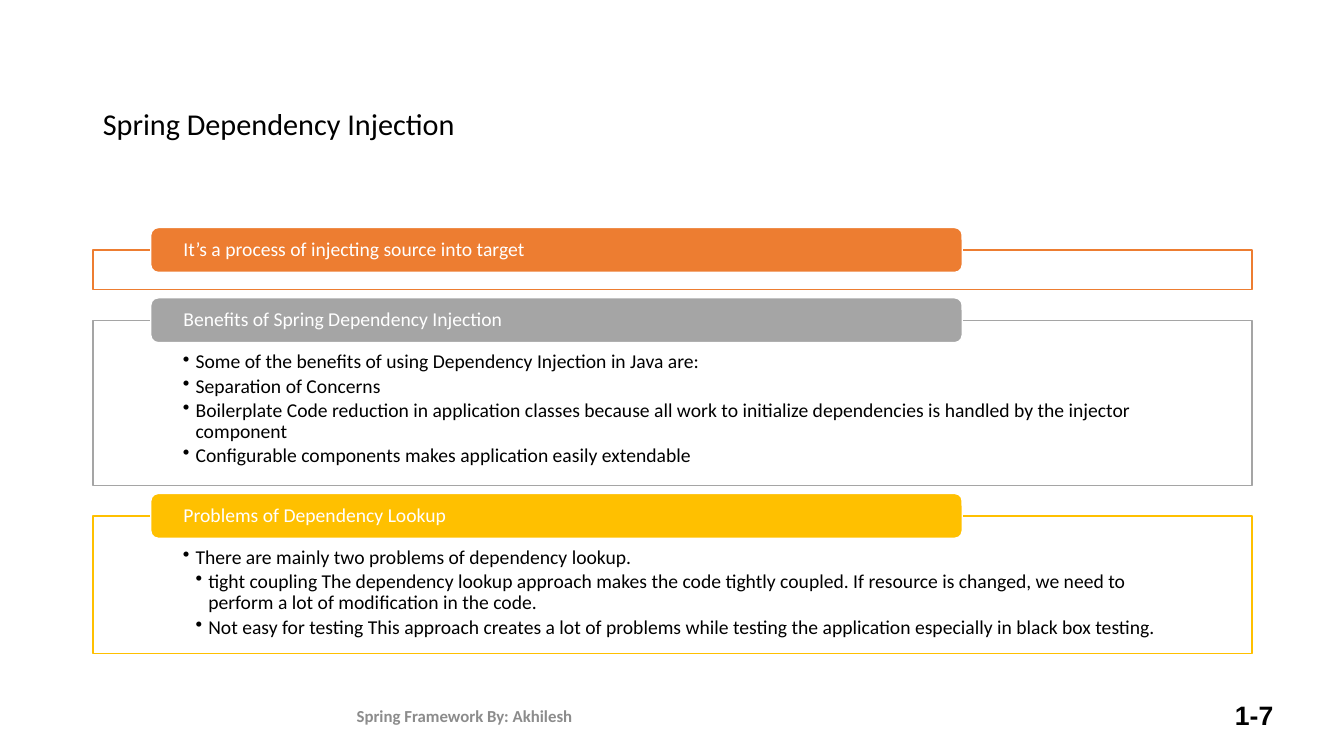
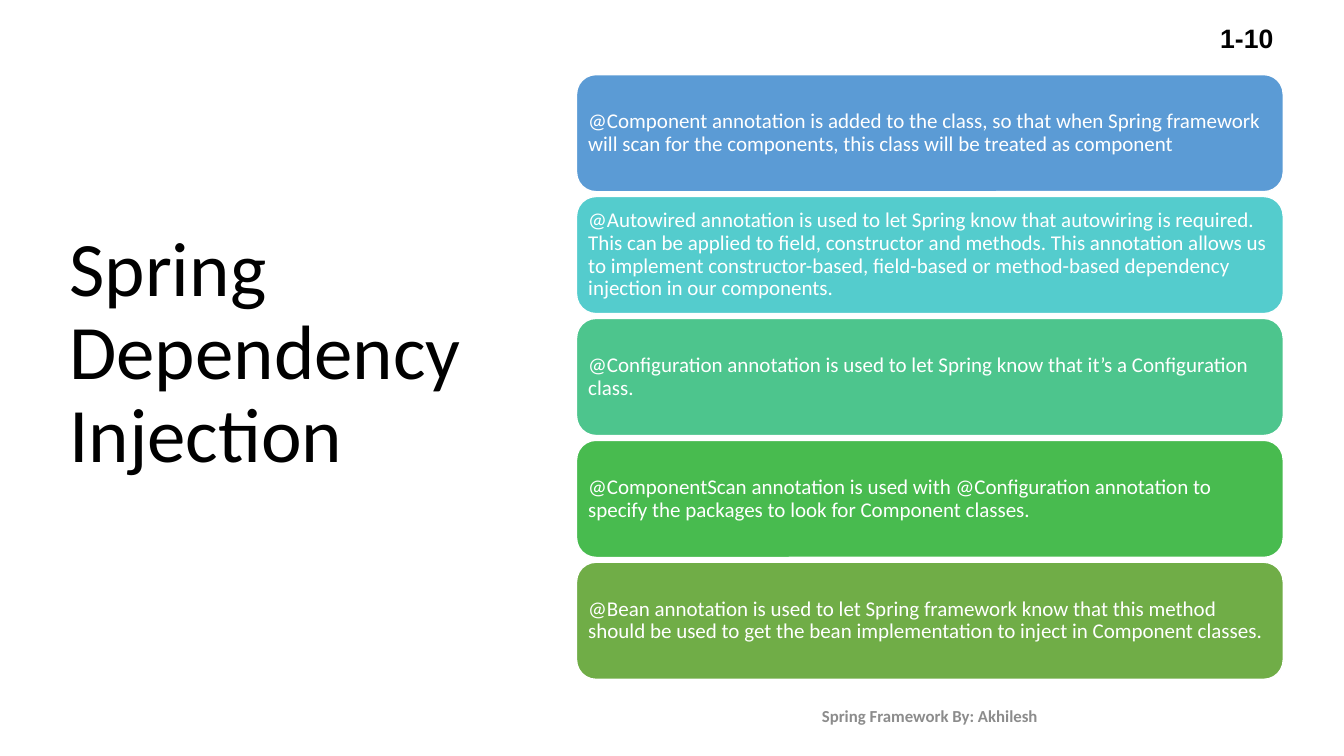
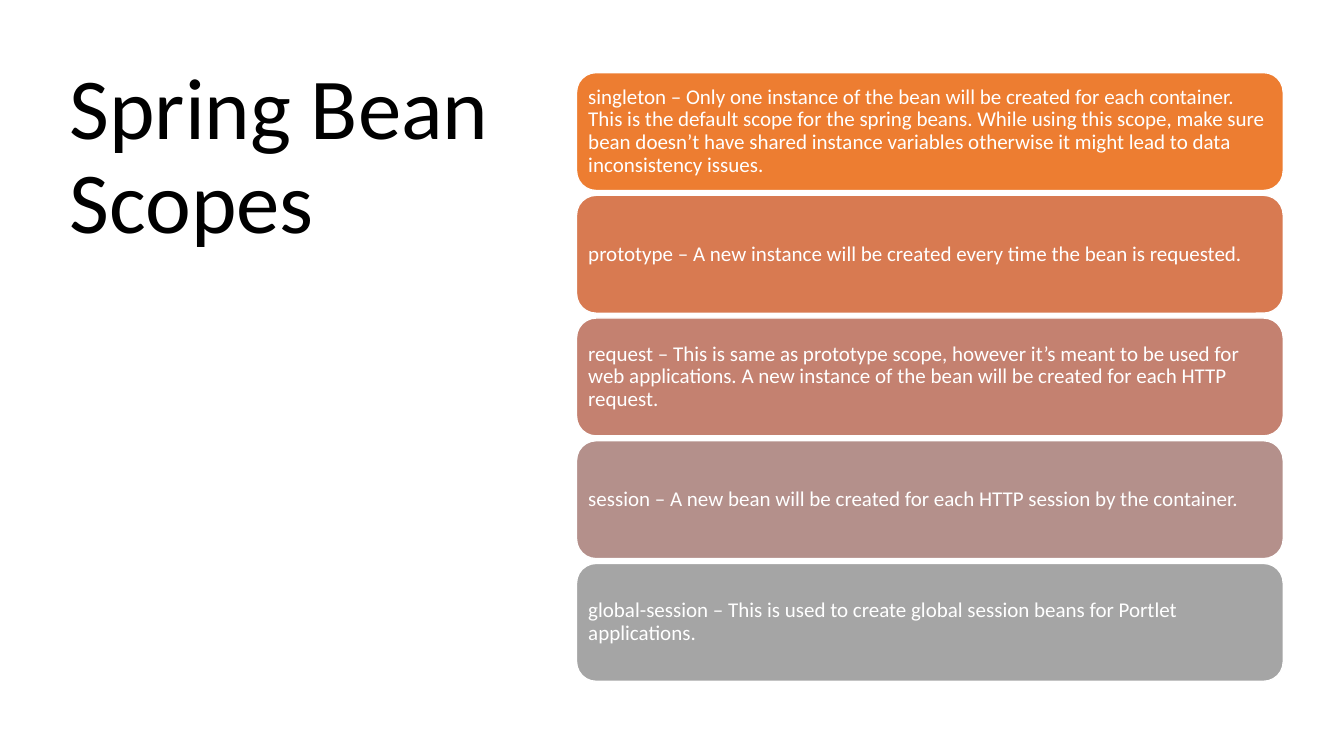
import pptx
import pptx.dml.color
import pptx.enum.shapes
import pptx.enum.text
import pptx.oxml
import pptx.oxml.ns
import pptx.util

Cm = pptx.util.Cm
Pt = pptx.util.Pt
ALIGN = pptx.enum.text.PP_ALIGN
ANCHOR = pptx.enum.text.MSO_ANCHOR
SHAPE = pptx.enum.shapes.MSO_SHAPE

COLORS = {
    "white": "FFFFFF", "black": "000000", "footer": "8C8C8C",
    "orange": "ED7D31", "gray": "A5A5A5", "gold": "FFC000",
    "blue": "5B9BD5", "aqua": "54CCCD", "mint": "4DC58D",
    "green": "48BB4F", "olive": "70AD47",
    "copper": "D87A51", "rose": "C48170", "taupe": "B4908B",
}
FONT = "Calibri"
LINE_SPACING = 0.9
FOOTER_TOP = 17.55
FOOTER_HEIGHT = 1.02
SIDE_TITLE_BOX = (1.5, 1.5, 12.5, 16)
CARD_LEFT, CARD_WIDTH, CARD_GAP = 14.53, 17.81, 0.12

PANELS = [
    ("orange", 1.0, "It’s a process of injecting source into target", []),
    ("gray", 4.16, "Benefits of Spring Dependency Injection", [
        (1, "Some of the benefits of using Dependency Injection in Java are:"),
        (1, "Separation of Concerns"),
        (1, "Boilerplate Code reduction in application classes because all work to "
            "initialize dependencies is handled by the injector component"),
        (1, "Configurable components makes application easily extendable"),
    ]),
    ("gold", 3.47, "Problems of Dependency Lookup", [
        (1, "There are mainly two problems of dependency lookup."),
        (2, "tight coupling The dependency lookup approach makes the code tightly "
            "coupled. If resource is changed, we need to perform a lot of "
            "modification in the code."),
        (2, "Not easy for testing This approach creates a lot of problems while "
            "testing the application especially in black box testing."),
    ]),
]

ANNOTATIONS = [
    ("blue", "@Component annotation is added to the class, so that when Spring framework "
             "will scan for the components, this class will be treated as component"),
    ("aqua", "@Autowired annotation is used to let Spring know that autowiring is required. "
             "This can be applied to field, constructor and methods. This annotation allows "
             "us to implement constructor-based, field-based or method-based dependency "
             "injection in our components."),
    ("mint", "@Configuration annotation is used to let Spring know that it’s a "
             "Configuration class."),
    ("green", "@ComponentScan annotation is used with @Configuration annotation to specify "
              "the packages to look for Component classes."),
    ("olive", "@Bean annotation is used to let Spring framework know that this method should "
              "be used to get the bean implementation to inject in Component classes."),
]

SCOPES = [
    ("orange", "singleton – Only one instance of the bean will be created for each container. "
               "This is the default scope for the spring beans. While using this scope, make "
               "sure bean doesn’t have shared instance variables otherwise it might lead to "
               "data inconsistency issues."),
    ("copper", "prototype – A new instance will be created every time the bean is requested."),
    ("rose", "request – This is same as prototype scope, however it’s meant to be used for "
             "web applications. A new instance of the bean will be created for each HTTP "
             "request."),
    ("taupe", "session – A new bean will be created for each HTTP session by the container."),
    ("gray", "global-session – This is used to create global session beans for Portlet "
             "applications."),
]


def rgb(color):
    return pptx.dml.color.RGBColor.from_string(COLORS[color])


def set_frame(frame, anchor, margins):
    """Wrap the text; margins are left, top, right, bottom in cm."""
    frame.word_wrap = True
    frame.auto_size = pptx.enum.text.MSO_AUTO_SIZE.NONE
    frame.vertical_anchor = anchor
    (frame.margin_left, frame.margin_top,
     frame.margin_right, frame.margin_bottom) = map(Cm, margins)


def write(paragraph, text, size, color, align=ALIGN.LEFT, bold=False, font=FONT):
    paragraph.alignment = align
    paragraph.line_spacing = LINE_SPACING
    run = paragraph.add_run()
    run.text = text
    run.font.size = Pt(size)
    run.font.name = font
    run.font.bold = bold
    run.font.color.rgb = rgb(color)


def add_bullet(paragraph, level):
    hanging = Cm(0.32)
    properties = paragraph._p.get_or_add_pPr()
    properties.set("marL", str(hanging * level))
    properties.set("indent", str(-hanging))
    properties.append(pptx.oxml.parse_xml(
        "<a:buChar %s char='•'/>" % pptx.oxml.ns.nsdecls("a")))


def add_block(slide, kind, box, fill, line):
    block = slide.shapes.add_shape(kind, *map(Cm, box))
    block.shadow.inherit = False
    block.fill.solid()
    block.fill.fore_color.rgb = rgb(fill)
    block.line.color.rgb = rgb(line)
    block.line.width = Pt(1)
    return block


def add_titled_slide(deck, title, box, size, anchor, top=0.13, bottom=0.13):
    slide = deck.slides.add_slide(deck.slide_layouts[5])
    heading = slide.shapes.title
    heading.left, heading.top, heading.width, heading.height = map(Cm, box)
    set_frame(heading.text_frame, anchor, (0.25, top, 0.25, bottom))
    write(heading.text_frame.paragraphs[0], title, size, "black")
    return slide


def add_footer(slide, left, width, number, number_top=FOOTER_TOP):
    parts = [
        ((left, FOOTER_TOP, width), "Spring Framework By: Akhilesh",
         12, "footer", ALIGN.CENTER, FONT),
        ((30.23, number_top, 2.11), number, 19, "black", ALIGN.RIGHT, "Arial"),
    ]
    for box, text, size, color, align, font in parts:
        frame = slide.shapes.add_textbox(*map(Cm, box), Cm(FOOTER_HEIGHT)).text_frame
        set_frame(frame, ANCHOR.MIDDLE, (0.25, 0.13, 0.25, 0.13))
        write(frame.paragraphs[0], text, size, color, align, True, font)


def add_panel(slide, box, color, heading, points):
    """Outlined box whose top edge is crossed by a coloured heading."""
    left, top, _, _ = box
    heading_height = 1.13
    panel = add_block(slide, SHAPE.RECTANGLE, box, "white", color)
    frame = panel.text_frame
    set_frame(frame, ANCHOR.TOP, (2.27, 0.8, 2.27, 0.28))
    for index, (level, text) in enumerate(points):
        paragraph = frame.add_paragraph() if index else frame.paragraphs[0]
        write(paragraph, text, 14, "black")
        paragraph.space_after = Pt(2.1)
        add_bullet(paragraph, level)
    banner = add_block(slide, SHAPE.ROUNDED_RECTANGLE,
                       (left + 1.46, top - heading_height / 2, 20.45, heading_height),
                       color, "white")
    set_frame(banner.text_frame, ANCHOR.MIDDLE, (0.77, 0, 0.77, 0))
    write(banner.text_frame.paragraphs[0], heading, 14, "white")


def add_panels(slide, left, top, width, panels):
    for color, height, heading, points in panels:
        add_panel(slide, (left, top, width, height), color, heading, points)
        top += height + 0.77


def add_cards(slide, box, cards):
    """Stack equal rounded cards that fill the box."""
    left, top, width, height = box
    pitch = (height + CARD_GAP) / len(cards)
    for index, (color, text) in enumerate(cards):
        card = add_block(slide, SHAPE.ROUNDED_RECTANGLE,
                         (left, top + index * pitch, width, pitch - CARD_GAP),
                         color, "white")
        set_frame(card.text_frame, ANCHOR.MIDDLE, (0.15, 0.15, 0.15, 0.15))
        write(card.text_frame.paragraphs[0], text, 15, "white")


def main():
    deck = pptx.Presentation()
    deck.slide_width, deck.slide_height = Cm(33.87), Cm(19.05)

    injection = add_titled_slide(deck, "Spring Dependency Injection",
                                 (2.34, 1.02, 29.21, 3.68), 21.6, ANCHOR.MIDDLE, top=0.77)
    add_panels(injection, 2.34, 6.3, 29.21, PANELS)
    add_footer(injection, 1.5, 20.42, "1-7")

    annotations = add_titled_slide(deck, "Spring Dependency Injection",
                                   SIDE_TITLE_BOX, 55, ANCHOR.MIDDLE, bottom=1.25)
    add_cards(annotations, (CARD_LEFT, 1.88, CARD_WIDTH, 15.24), ANNOTATIONS)
    add_footer(annotations, CARD_LEFT, CARD_WIDTH, "1-10", number_top=0.5)

    scopes = add_titled_slide(deck, "Spring Bean Scopes", SIDE_TITLE_BOX, 62, ANCHOR.TOP)
    add_cards(scopes, (CARD_LEFT, 1.83, CARD_WIDTH, 15.34), SCOPES)

    deck.save("out.pptx")


if __name__ == "__main__":
    main()
